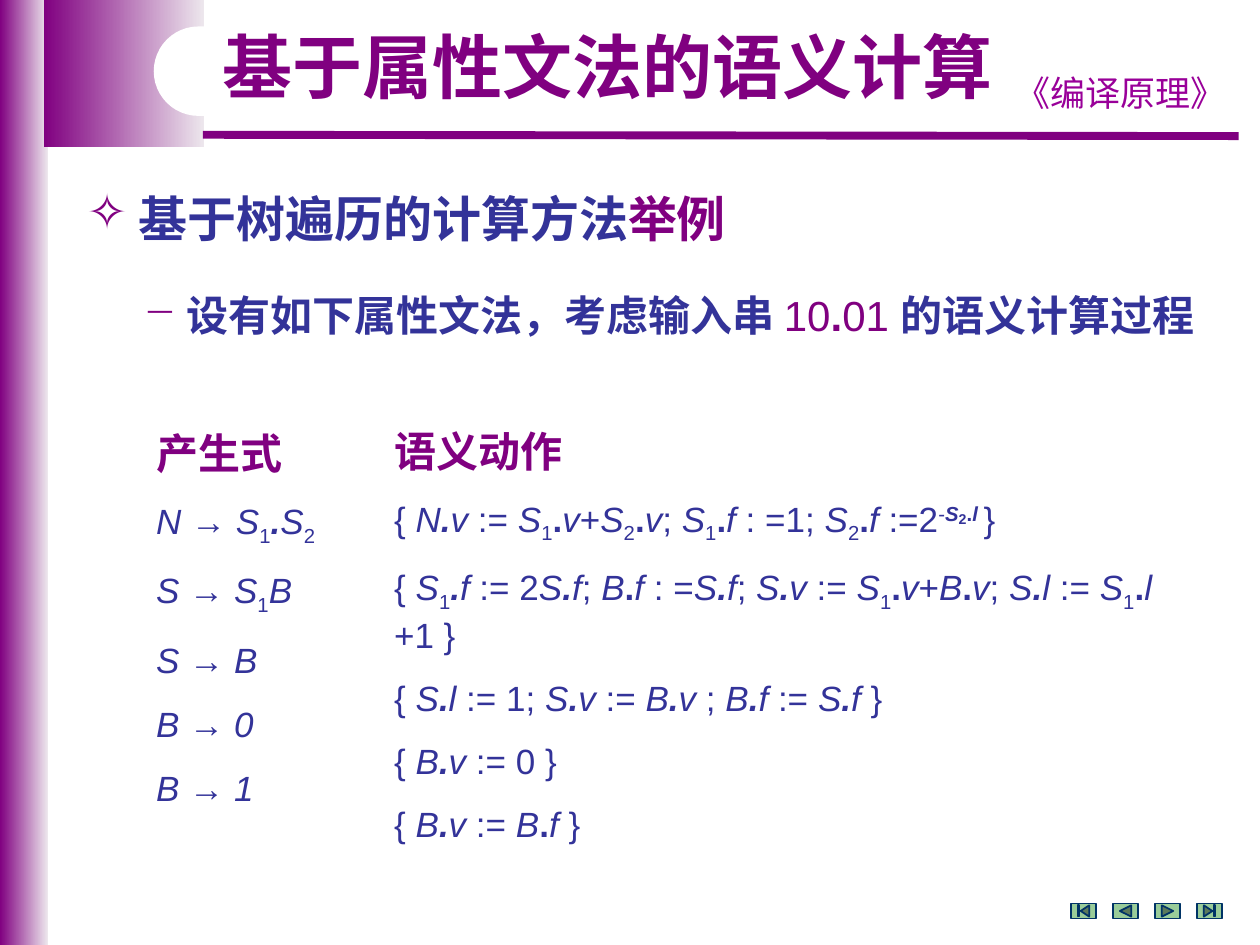
from itertools import groupby

from lxml import etree
from pptx import Presentation
from pptx import util as u
from pptx.dml import color
from pptx.enum import shapes, text
from pptx.oxml import ns

PURPLE, NAVY = "800080", "333399"
BODY = {"size": 20, "color": NAVY}
HEADING = {"size": 24, "color": PURPLE, "bold": True}


def rgb(value):
    return color.RGBColor.from_string(value)


def add_span(para, words, size=20, color=NAVY, name="Arial", base=0, **style):
    span = para.add_run()
    span.text = words
    values = {"size": u.Pt(size), "name": name, "bold": False, "italic": False, **style}
    for key, value in values.items():
        setattr(span.font, key, value)
    span.font.color.rgb = rgb(color)
    if base:
        span.font._element.set("baseline", str(base * 1000))


def add_box(page, box):
    frame = page.shapes.add_textbox(*map(u.Inches, box)).text_frame
    frame.word_wrap = True
    return frame


def add_shape(page, kind, box, fill, line=None):
    shape = page.shapes.add_shape(kind, *map(u.Inches, box))
    shape.shadow.inherit = False
    if isinstance(fill, tuple):
        shape.fill.gradient()
        shape.fill.gradient_angle = 0
        for stop, value in zip(shape.fill.gradient_stops, fill):
            stop.color.rgb = rgb(value)
    else:
        shape.fill.solid()
        shape.fill.fore_color.rgb = rgb(fill)
    if line:
        shape.line.color.rgb = rgb(line)
        shape.line.width = u.Pt(1)
    else:
        shape.line.fill.background()
    return shape


def add_bullet(para, mark, indent):
    props = para._p.get_or_add_pPr()
    props.set("marL", str(u.Inches(indent)))
    props.set("indent", str(-u.Inches(indent)))
    etree.SubElement(props, ns.qn("a:buChar")).set("char", mark)


def formula_spans(formula):
    """Letters are italic, _ lowers the next digit, . is bold italic, · is bold upright."""
    marks = []
    for before, char in zip(" " + formula, formula):
        if char == "_":
            continue
        style = {}
        if before == "_":
            style = {"base": -25}
        elif char == ".":
            style = {"bold": True, "italic": True}
        elif char == "·":
            char, style = ".", {"bold": True}
        elif char.isalpha():
            style = {"italic": True}
        marks.append((char, style))
    for style, group in groupby(marks, key=lambda mark: mark[1]):
        yield "".join(char for char, _ in group), style


# Purple bands, white notch, rule and course name
def add_frame(page, box):
    left, top, width, height = box
    fade = (PURPLE, "EDE7ED")
    kind = shapes.MSO_SHAPE
    add_shape(page, kind.RECTANGLE, (left, top, 0.38, height), fade)
    add_shape(page, kind.RECTANGLE, (left + 0.35, top, 1.27, 1.17), fade)
    rule = page.shapes.add_connector(
        shapes.MSO_CONNECTOR.STRAIGHT,
        *map(u.Inches, (left + 1.61, top + 1.07, left + width - 0.17, top + 1.08)))
    rule.line.color.rgb = rgb(PURPLE)
    rule.line.width = u.Pt(4.5)
    etree.SubElement(rule._element.spPr, ns.qn("a:effectLst"))
    notch = add_shape(page, kind.ROUNDED_RECTANGLE, (left + 1.22, top + 0.21, 3.62, 0.71), "FFFFFF")
    notch.adjustments[0] = 0.5
    para = add_box(page, (left + 7.91, top + 0.52, 1.97, 0.43)).paragraphs[0]
    para.alignment = text.PP_ALIGN.CENTER
    add_span(para, "《编译原理》", color="990099", name="Noto Sans CJK SC")


def add_title(page, box):
    para = add_box(page, box).paragraphs[0]
    para.line_spacing = 0.9
    add_span(para, "基于属性文法的语义计算", 40, PURPLE, bold=True)


# One bulleted line made of (words, colour, bold) parts
def add_point(page, box, mark, indent, size, parts):
    para = add_box(page, box).paragraphs[0]
    add_bullet(para, mark, indent)
    for words, shade, bold in parts:
        add_span(para, words, size, shade, bold=bold)


# A heading over rows; a row mixes formulas and (words, style) pairs
def add_column(page, box, heading, rows, gap):
    frame = add_box(page, box)
    para = frame.paragraphs[0]
    add_span(para, heading, **HEADING)
    for row in rows:
        para = frame.add_paragraph()
        para.space_before = u.Pt(gap)
        for part in row:
            spans = formula_spans(part) if isinstance(part, str) else [part]
            for words, style in spans:
                add_span(para, words, **{**BODY, **style})


def add_navigation(page, box):
    left, top, width, height = box
    kind = shapes.MSO_SHAPE
    buttons = (kind.ACTION_BUTTON_BEGINNING, kind.ACTION_BUTTON_BACK_OR_PREVIOUS,
               kind.ACTION_BUTTON_FORWARD_OR_NEXT, kind.ACTION_BUTTON_END)
    step = (width - 0.2) / (len(buttons) - 1)
    for index, button in enumerate(buttons):
        add_shape(page, button, (left + index * step, top, 0.2, height), "99CC99", "003366")


def main():
    deck = Presentation()
    deck.slide_width, deck.slide_height = u.Inches(10), u.Inches(7.5)
    page = deck.slides.add_slide(deck.slide_layouts[6])

    add_frame(page, (0, 0, 10, 7.5))
    add_title(page, (1.67, 0.21, 6.39, 0.7))
    add_point(page, (0.59, 1.45, 8.83, 0.57), "✧", 0.3, 28, [
        (" ", PURPLE, True), ("基于树遍历的计算方法", NAVY, True), ("举例", PURPLE, True)])
    add_point(page, (1.04, 2.25, 8.62, 0.5), "−", 0.23, 24, [
        (" ", PURPLE, True), ("设有如下属性文法，考虑输入串 ", NAVY, True),
        ("10", PURPLE, False), (".", PURPLE, True), ("01 ", PURPLE, False),
        ("的语义计算过程", NAVY, True)])

    slanted = {"italic": True}
    add_column(page, (1.14, 3.34, 1.89, 2.9), "产生式", [
        ["N → S_1.S_2"], ["S → S_1B"], ["S → B"],
        ["B → ", ("0", slanted)], ["B → ", ("1", slanted)]], 12.5)

    power = {"base": 30, "bold": True}
    exponent = [("-", {"base": 30}), ("S", {**power, **slanted}), ("2", {**power, "size": 14}),
                (".", power), ("l ", {**power, **slanted})]
    add_column(page, (3.03, 3.33, 6.77, 2.96), "语义动作", [
        ["{ N.v := S_1·v+S_2·v; S_1·f : =1; S_2·f :=2", *exponent, "}"],
        ["{ S_1.f := 2S.f; B·f : =S.f; S.v := S_1·v+B·v; S.l := S_1·l +1 }"],
        ["{ S.l := 1; S.v := B.v ; B.f := S.f }"],
        ["{ B.v := 0 }"],
        ["{ B.v := B·f }"]], 12)
    add_navigation(page, (8.5, 7.17, 1.2, 0.12))
    deck.save("out.pptx")


if __name__ == "__main__":
    main()
